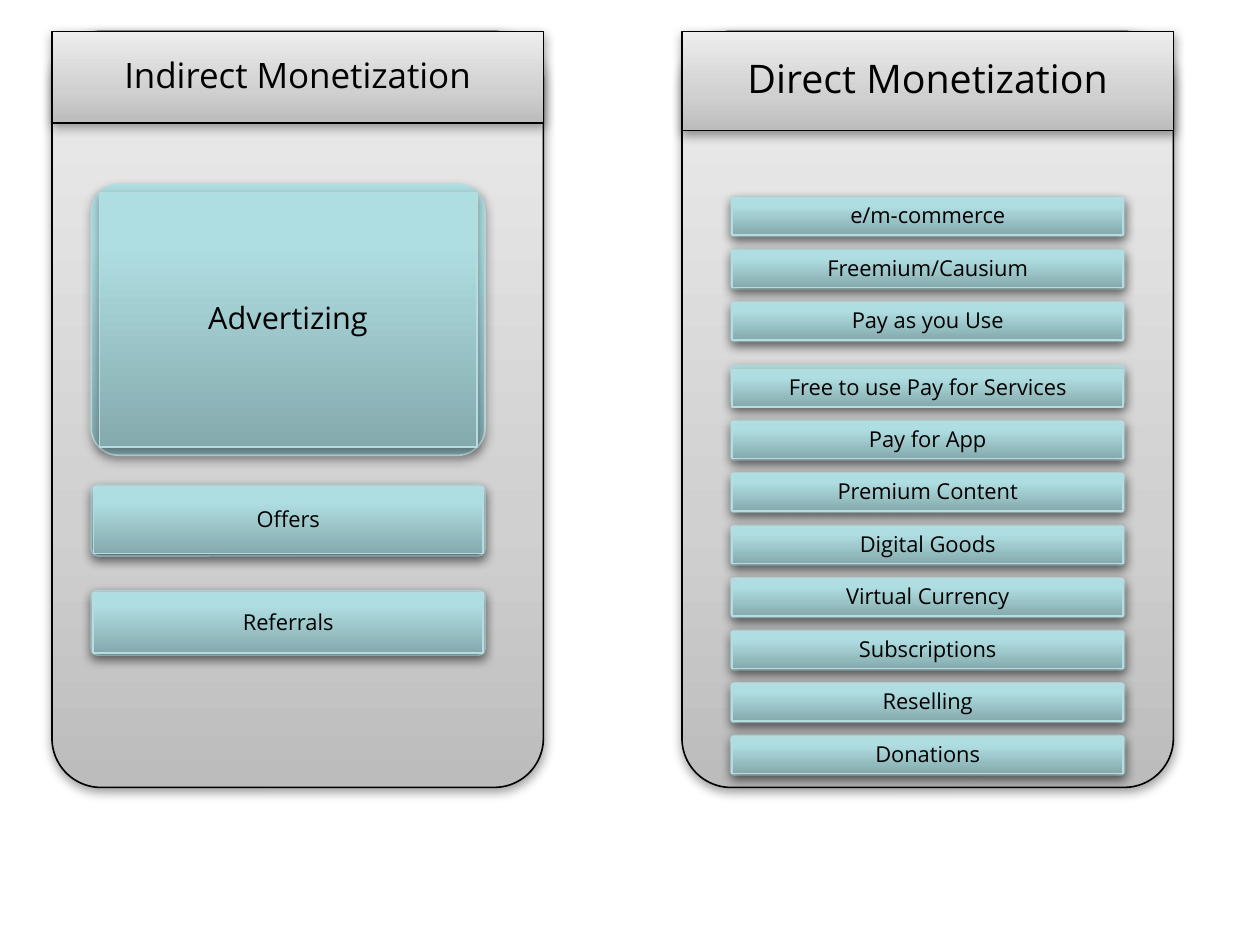
from lxml.etree import SubElement
from pptx import Presentation
from pptx.dml.color import RGBColor
from pptx.enum.shapes import MSO_SHAPE as Preset
from pptx.enum.text import MSO_ANCHOR as Anchor, MSO_AUTO_SIZE as AutoSize, PP_ALIGN as Align
from pptx.oxml.ns import qn
from pptx.util import Inches, Pt

FONT = "Open Sans"
BLACK = RGBColor(0x00, 0x00, 0x00)
PALE_AQUA = RGBColor(0xB6, 0xDC, 0xDF)
GREY_STOPS = [(0, RGBColor(0xBC, 0xBC, 0xBC)), (35, RGBColor(0xD0, 0xD0, 0xD0)),
              (100, RGBColor(0xED, 0xED, 0xED))]
AQUA_STOPS = [(0, RGBColor(0x85, 0xAA, 0xAD)), (80, RGBColor(0xAF, 0xDE, 0xE2)),
              (100, RGBColor(0xAF, 0xE0, 0xE4))]
GREY = dict(stops=GREY_STOPS, edge=BLACK, shade=38, distance=1.6)
AQUA = dict(stops=AQUA_STOPS, edge=PALE_AQUA, shade=35, distance=1.8)

CORNER = 0.1
FACE_INSET = 0.03  # share of a card's height
PANEL_TOP, PANEL_WIDTH, PANEL_HEIGHT = 0.2, 3.12, 4.8
CARD_WIDTH, ROW_HEIGHT, ROW_STEP = 2.5, 0.25, 1 / 3


def add_color(parent, color, alpha=None):
    """Append an RGB colour element, with opacity in percent if given."""
    node = SubElement(parent, qn("a:srgbClr"), val=str(color))
    if alpha is not None:
        SubElement(node, qn("a:alpha"), val=str(alpha * 1000))


def style(shape, stops, edge, shade, distance):
    """Give a shape an upward gradient, a thin edge and a soft drop shadow."""
    shape.fill.gradient()
    shape.fill.gradient_angle = 90
    stop_list = shape._element.spPr.find(".//" + qn("a:gsLst"))
    stop_list.clear()
    for position, color in stops:
        add_color(SubElement(stop_list, qn("a:gs"), pos=str(position * 1000)), color)
    shape.line.color.rgb = edge
    shape.line.width = Pt(0.75)
    shape.shadow.inherit = False
    shadow = SubElement(shape._element.spPr.find(qn("a:effectLst")), qn("a:outerShdw"),
                        blurRad=str(Pt(5)), dist=str(Pt(distance)),
                        dir="5400000", rotWithShape="0")
    add_color(shadow, BLACK, shade)


def write(shape, text, size, side=0.05, upright=0.04):
    """Put one centred line of text in a shape."""
    frame = shape.text_frame
    frame.word_wrap = True
    frame.auto_size = AutoSize.NONE
    frame.vertical_anchor = Anchor.MIDDLE
    frame.margin_left = frame.margin_right = Inches(side)
    frame.margin_top = frame.margin_bottom = Inches(upright)
    line = frame.paragraphs[0]
    line.alignment = Align.CENTER
    line.line_spacing = 0.9
    line.space_before = Pt(0)
    run = line.add_run()
    run.text = text
    run.font.name, run.font.size, run.font.bold = FONT, Pt(size), False
    run.font.color.rgb = BLACK


def add_block(slide, preset, box, look):
    """Draw a styled block; rounded ones share one corner ratio."""
    block = slide.shapes.add_shape(preset, *map(Inches, box))
    if preset == Preset.ROUNDED_RECTANGLE:
        block.adjustments[0] = CORNER
    style(block, **look)
    return block


def add_panel(slide, heading, text, left, heading_height, size):
    """Draw a grey panel and lay its heading placeholder across its top."""
    add_block(slide, Preset.ROUNDED_RECTANGLE,
              (left, PANEL_TOP, PANEL_WIDTH, PANEL_HEIGHT), GREY)
    slide.shapes._spTree.append(heading._element)  # in front of the panel
    heading.left, heading.top = Inches(left), Inches(PANEL_TOP)
    heading.width, heading.height = Inches(PANEL_WIDTH), Inches(heading_height)
    style(heading, **GREY)
    write(heading, text, size, side=0.22, upright=0.22)


def add_card(slide, text, left, top, height, size=10, face_drop=0):
    """Draw a rounded card with an inset face that carries the text."""
    add_block(slide, Preset.ROUNDED_RECTANGLE, (left, top, CARD_WIDTH, height), AQUA)
    inset = FACE_INSET * height
    face = add_block(slide, Preset.RECTANGLE,
                     (left + inset, top + inset + face_drop,
                      CARD_WIDTH - 2 * inset, height - 2 * inset), AQUA)
    write(face, text, size)


def add_rows(slide, names, left, top):
    """Stack equal cards at a constant step."""
    for i, name in enumerate(names):
        add_card(slide, name, left, top + i * ROW_STEP, ROW_HEIGHT)


def add_indirect(slide, heading, left):
    """Build the indirect column."""
    add_panel(slide, heading, "Indirect Monetization", left, 0.58, 16)
    card_left = left + 0.25
    add_card(slide, "Advertizing", card_left, 1.17, 1.72, size=14)
    add_card(slide, "Offers", card_left, 3.08, 0.45)
    add_card(slide, "Referrals", card_left, 3.75, 0.41)


def add_direct(slide, heading, left):
    """Build the direct column."""
    add_panel(slide, heading, "Direct Monetization", left, 0.63, 18)
    card_left = left + 0.31
    add_rows(slide, ["e/m-commerce", "Freemium/Causium", "Pay as you Use"], card_left, 1.25)
    add_card(slide, "Free to use Pay for Services", card_left, 2.32, ROW_HEIGHT,
             face_drop=0.02)
    add_rows(slide, ["Pay for App", "Premium Content", "Digital Goods", "Virtual Currency",
                     "Subscriptions", "Reselling", "Donations"], card_left, 2.67)


def main():
    """Build the two-column slide on the comparison layout."""
    deck = Presentation()
    deck.slide_width, deck.slide_height = Inches(8), Inches(6)
    slide = deck.slides.add_slide(deck.slide_layouts.get_by_name("Comparison"))
    holders = {holder.placeholder_format.idx: holder for holder in slide.placeholders}
    indirect_heading, direct_heading = holders.pop(1), holders.pop(3)
    for unused in holders.values():
        slide.shapes._spTree.remove(unused._element)
    add_indirect(slide, indirect_heading, 0.33)
    add_direct(slide, direct_heading, 4.33)
    deck.save("out.pptx")


main()
